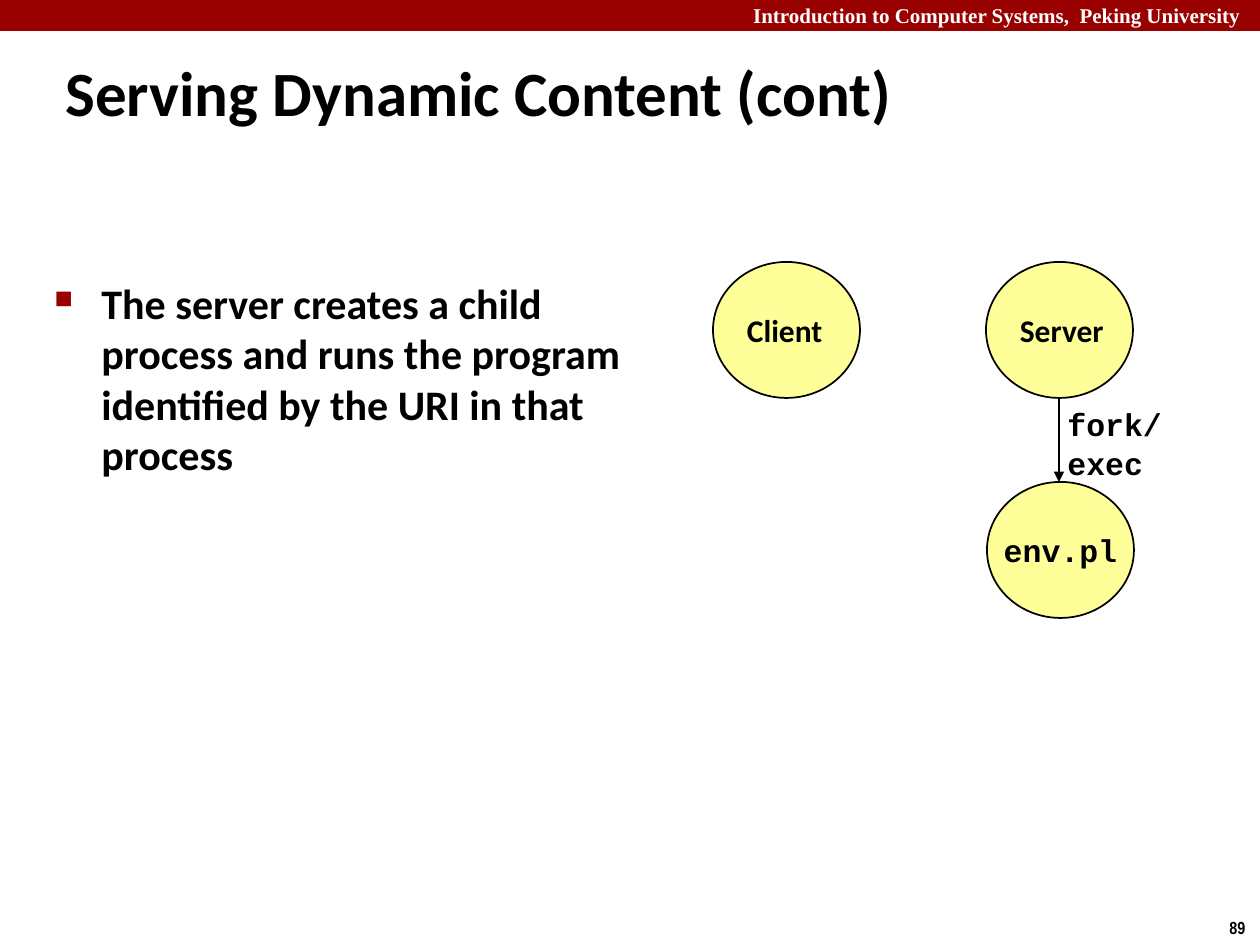
from lxml import etree
from pptx import Presentation
from pptx.dml.color import RGBColor
from pptx.enum.shapes import MSO_CONNECTOR, MSO_SHAPE
from pptx.enum.text import MSO_ANCHOR, PP_ALIGN
from pptx.oxml.ns import qn
from pptx.util import Pt

PX = 914400 // 126
LEFT, CENTER, RIGHT = PP_ALIGN.LEFT, PP_ALIGN.CENTER, PP_ALIGN.RIGHT
TOP, MIDDLE = MSO_ANCHOR.TOP, MSO_ANCHOR.MIDDLE
RED, BLACK, WHITE, YELLOW = "990000", "000000", "FFFFFF", "FFFF99"


def color(value):
    return RGBColor.from_string(value)


def write(shape, text, size, font, align=LEFT, anchor=TOP, wrap=False, ink=BLACK):
    frame = shape.text_frame
    frame.word_wrap = wrap
    frame.vertical_anchor = anchor
    paragraph = frame.paragraphs[0]
    paragraph.text = text
    paragraph.alignment = align
    paragraph.font.size = Pt(size)
    paragraph.font.name = font
    paragraph.font.bold = True
    paragraph.font.color.rgb = color(ink)
    return paragraph


presentation = Presentation()
presentation.slide_width = 1260 * PX
presentation.slide_height = 945 * PX
slide = presentation.slides.add_slide(presentation.slide_layouts[6])
shapes = slide.shapes

banner = shapes.add_shape(MSO_SHAPE.RECTANGLE, 0, 0, 1260 * PX, 31 * PX)
banner.shadow.inherit = False
banner.fill.solid()
banner.fill.fore_color.rgb = color(RED)
banner.line.fill.background()

labels = [
    ("Introduction to Computer Systems,  Peking University", 12, "Times New Roman",
     (593, -4, 660, 38), RIGHT, True, WHITE),
    ("89", 10, "Arial Narrow", (1217, 911, 43, 34), LEFT, False, BLACK),
    ("Serving Dynamic Content (cont)", 36, "Calibri",
     (53, 47, 1071, 79), LEFT, True, BLACK),
]
for text, size, font, box, align, wrap, ink in labels:
    label = shapes.add_textbox(*(value * PX for value in box))
    write(label, text, size, font, align, TOP, wrap, ink)

body = shapes.add_textbox(42 * PX, 271 * PX, 591 * PX, 261 * PX)
bullet_properties = body.text_frame.paragraphs[0]._p.get_or_add_pPr()
bullet_properties.set("marL", str(47 * PX))
bullet_properties.set("indent", str(-47 * PX))
bullet_color = etree.SubElement(bullet_properties, qn("a:buClr"))
etree.SubElement(bullet_color, qn("a:srgbClr"), val=RED)
etree.SubElement(bullet_properties, qn("a:buSzPct"), val="60000")
etree.SubElement(bullet_properties, qn("a:buChar"), char="■")
write(body, "The server creates a child process and runs the program "
      "identified by the URI in that process", 24, "Calibri", wrap=True)

nodes = [
    ("Client", "Calibri", 713, 262, LEFT),
    ("Server", "Calibri", 986, 262, LEFT),
    ("env.pl", "Courier New", 987, 482, CENTER),
]
for text, font, left, top, align in nodes:
    node = shapes.add_shape(MSO_SHAPE.OVAL, left * PX, top * PX, 147 * PX, 136 * PX)
    node.shadow.inherit = False
    node.fill.solid()
    node.fill.fore_color.rgb = color(YELLOW)
    node.line.color.rgb = color(BLACK)
    node.line.width = Pt(1)
    write(node, text, 18, font, align, MIDDLE)

arrow = shapes.add_connector(MSO_CONNECTOR.STRAIGHT,
                             1059 * PX, 398 * PX, 1059 * PX, 482 * PX)
arrow.line.color.rgb = color(BLACK)
arrow.line.width = Pt(1)
etree.SubElement(arrow.line._get_or_add_ln(), qn("a:tailEnd"), type="triangle")
etree.SubElement(arrow._element.spPr, qn("a:effectLst"))

call = shapes.add_textbox(1055 * PX, 397 * PX, 195 * PX, 88 * PX)
paragraph = write(call, "fork/\vexec", 18, "Courier New", anchor=TOP, wrap=True)
paragraph.line_spacing = 1.04

presentation.save("out.pptx")
